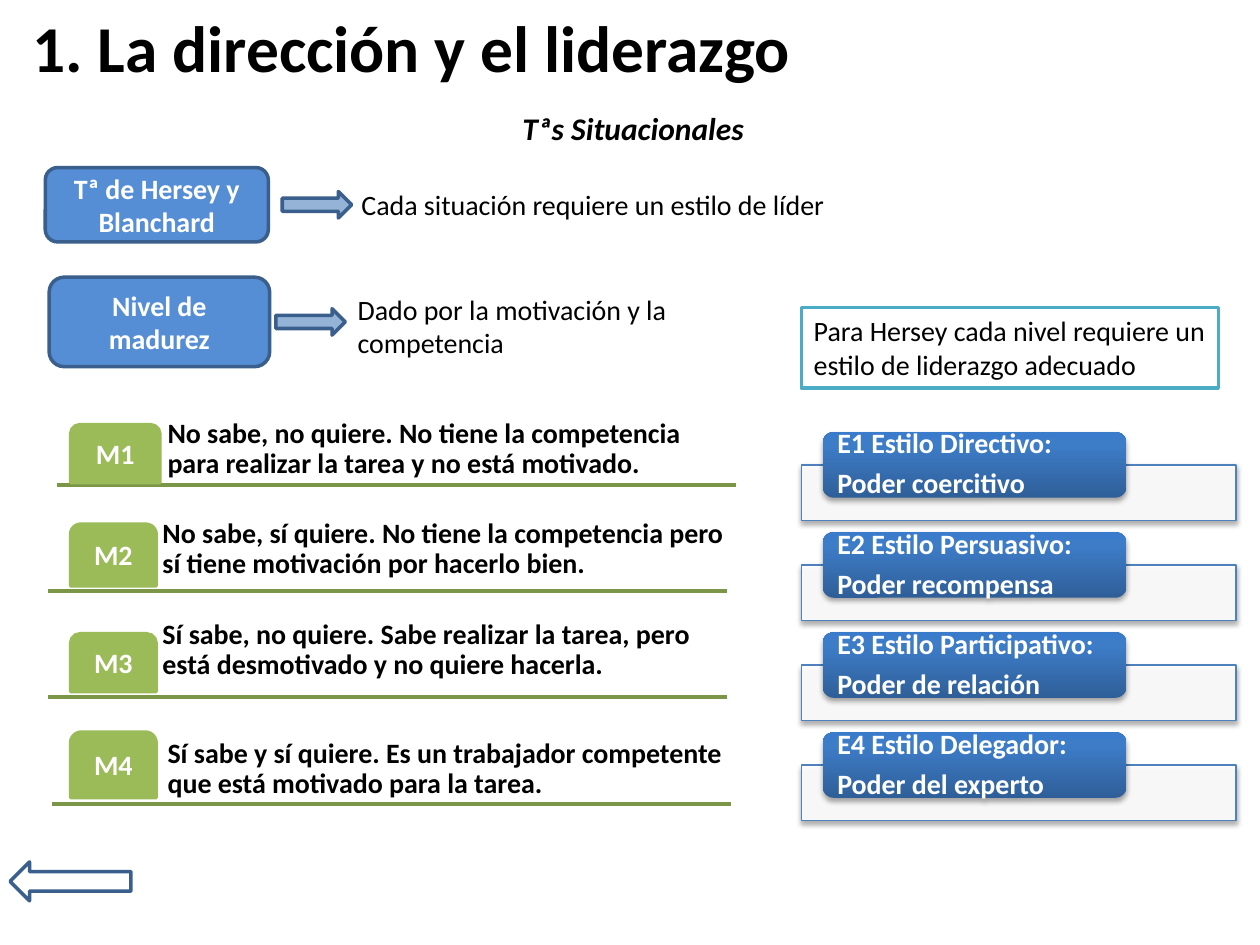
from copy import deepcopy

from lxml.etree import SubElement
from pptx import Presentation
from pptx.dml.color import RGBColor
from pptx.enum.shapes import MSO_CONNECTOR, MSO_SHAPE
from pptx.enum.text import MSO_ANCHOR, PP_ALIGN
from pptx.oxml.ns import qn
from pptx.util import Inches, Pt

BLACK = RGBColor(0x00, 0x00, 0x00)
WHITE = RGBColor(0xFF, 0xFF, 0xFF)
BLUE = RGBColor(0x55, 0x8E, 0xD5)
PALE_BLUE = RGBColor(0x95, 0xB3, 0xD7)
NAVY = RGBColor(0x3A, 0x5F, 0x8C)
GREEN = RGBColor(0x9B, 0xBB, 0x59)
DARK_GREEN = RGBColor(0x7C, 0x96, 0x47)
AQUA = RGBColor(0x4B, 0xAC, 0xC6)
BAR_BLUE = RGBColor(0x4F, 0x81, 0xBD)
STYLE_STOPS = [
    (0, RGBColor(0x2F, 0x5F, 0x99)),
    (0.8, RGBColor(0x3D, 0x7C, 0xC7)),
    (1, RGBColor(0x3A, 0x7C, 0xCB)),
]

COLS, ROWS = 100, 75
BODY = {"name": "Calibri", "size": Pt(16), "bold": False, "italic": False}
TIGHT = {"line_spacing": 0.9, "space_after": Pt(5.6)}
CENTER = {"alignment": PP_ALIGN.CENTER}
SMALL_INSET = (0.03, 0.03)

# label, tab (top, width, height), text (left, top, width), rule (left, top), text
LEVELS = [
    ("M1", (33.7, 7.1, 4.6), (13, 30.4, 44), (4.5, 38.5),
     "No sabe, no quiere. No tiene la competencia para realizar la tarea y no está motivado."),
    ("M2", (41.6, 6.8, 4.9), (12.6, 38.3, 46.7), (3.8, 46.9),
     "No sabe, sí quiere. No tiene la competencia pero sí tiene motivación por hacerlo bien."),
    ("M3", (50.3, 6.8, 4.6), (12.6, 46.3, 46.7), (3.8, 55.3),
     "Sí sabe, no quiere. Sabe realizar la tarea, pero está desmotivado y no quiere hacerla."),
    ("M4", (58.1, 6.8, 5.2), (13, 55.8, 45.5), (4.1, 63.8),
     "Sí sabe y sí quiere. Es un trabajador competente que está motivado para la tarea."),
]
STYLES = [
    ("E1 Estilo Directivo:", "Poder coercitivo"),
    ("E2 Estilo Persuasivo:", "Poder recompensa"),
    ("E3 Estilo Participativo:", "Poder de relación"),
    ("E4 Estilo Delegador:", "Poder del experto"),
]
STYLE_TOP, STYLE_PITCH = 34.3, 7.94


class Deck:
    """Holds the style and the current slide; lengths are grid columns and rows."""

    def __init__(self, prs):
        self.slide = prs.slides.add_slide(prs.slide_layouts[6])
        self.col = prs.slide_width / COLS
        self.row = prs.slide_height / ROWS

    def place(self, x, y, w, h):
        return [round(n) for n in (x * self.col, y * self.row, w * self.col, h * self.row)]

    def fill_text(self, sp, lines, color=BLACK, font=None, para=None,
                  anchor=MSO_ANCHOR.TOP, inset=(0.1, 0.05)):
        tf = sp.text_frame
        tf.word_wrap = True
        tf.vertical_anchor = anchor
        tf.margin_left = tf.margin_right = Inches(inset[0])
        tf.margin_top = tf.margin_bottom = Inches(inset[1])
        for i, line in enumerate(lines):
            p = tf.paragraphs[0] if i == 0 else tf.add_paragraph()
            for key, value in ({"alignment": PP_ALIGN.LEFT} | (para or {})).items():
                setattr(p, key, value)
            r = p.add_run()
            r.text = line
            for key, value in (BODY | (font or {})).items():
                setattr(r.font, key, value)
            r.font.color.rgb = color

    def text(self, box, line, **fmt):
        self.fill_text(self.slide.shapes.add_textbox(*self.place(*box)), [line], **fmt)

    def shape(self, kind, box, fill=None, line=None, width=2):
        sp = self.slide.shapes.add_shape(kind, *self.place(*box))
        sp.shadow.inherit = False
        if fill is None:
            sp.fill.background()
        else:
            sp.fill.solid()
            sp.fill.fore_color.rgb = fill
        if line is None:
            sp.line.fill.background()
        else:
            sp.line.color.rgb = line
            sp.line.width = Pt(width)
        return sp

    def rule(self, x, y, w, color):
        left, top, width, _ = self.place(x, y, w, 0)
        cxn = self.slide.shapes.add_connector(
            MSO_CONNECTOR.STRAIGHT, left, top, left + width, top)
        cxn.line.color.rgb = color
        cxn.line.width = Pt(2)
        SubElement(cxn._element.spPr, qn("a:effectLst"))

    def shade(self, sp):
        """Give the shape a soft shadow straight below it."""
        effects = sp._element.spPr.find(qn("a:effectLst"))
        shadow = SubElement(effects, qn("a:outerShdw"), blurRad=str(Pt(3.1)),
                            dist=str(Pt(1.8)), dir="5400000", rotWithShape="0")
        color = SubElement(shadow, qn("a:srgbClr"), val=str(BLACK))
        SubElement(color, qn("a:alpha"), val="35000")

    def blend(self, sp, stops):
        """Fill the shape with a vertical gradient, first stop at the bottom."""
        sp.fill.gradient()
        sp.fill.gradient_angle = 90
        gs_list = sp._element.spPr.find(".//" + qn("a:gsLst"))
        gs_list.append(deepcopy(gs_list[-1]))
        for stop, (position, color) in zip(sp.fill.gradient_stops, stops):
            stop.position = position
            stop.color.rgb = color

    def level(self, label, tab, text, rule, line):
        self.rule(*rule, 53.9, DARK_GREEN)
        self.text((*text, 8), line, font={"bold": True}, para=TIGHT,
                  anchor=MSO_ANCHOR.BOTTOM, inset=SMALL_INSET)
        top, width, height = tab
        sp = self.shape(MSO_SHAPE.ROUND_2_SAME_RECTANGLE, (5.6, top, width, height), GREEN, GREEN)
        self.fill_text(sp, [label], color=WHITE, font={"bold": True}, para=CENTER | TIGHT,
                       anchor=MSO_ANCHOR.MIDDLE, inset=SMALL_INSET)

    def leader_style(self, top, lines):
        bar = self.shape(MSO_SHAPE.RECTANGLE, (63.6, top + 2.6, 34.5, 4.4), WHITE, BAR_BLUE, 0.75)
        color = bar._element.spPr.find(qn("a:solidFill"))[0]
        SubElement(color, qn("a:alpha"), val="90000")
        self.shade(bar)
        tag = self.shape(MSO_SHAPE.ROUNDED_RECTANGLE, (65.3, top, 24.1, 5.2))
        self.blend(tag, STYLE_STOPS)
        self.shade(tag)
        self.fill_text(tag, lines, color=WHITE, font={"bold": True}, para=TIGHT,
                       anchor=MSO_ANCHOR.MIDDLE, inset=(0.09, 0))


def main():
    prs = Presentation()
    prs.slide_width, prs.slide_height = Inches(10), Inches(7.5)
    deck = Deck(prs)

    deck.text((1.6, 0.5, 90, 6.3), "1. La dirección y el liderazgo",
              font={"size": Pt(37.4), "bold": True}, anchor=MSO_ANCHOR.MIDDLE)
    deck.text((3.9, 8.2, 92.7, 4), "Tªs Situacionales", para=CENTER,
              font={"size": Pt(18), "bold": True, "italic": True})

    for box, arrow, note, concept, meaning in [
        ((3.6, 13.3, 17.7, 5.9), (22.4, 15.2), (27.7, 14.4, 40.5, 3.7),
         "Tª de Hersey y Blanchard", "Cada situación requiere un estilo de líder"),
        ((3.9, 22, 17.5, 7.1), (21.9, 24.5), (27.4, 22.7, 29.5, 6.4),
         "Nivel de madurez", "Dado por la motivación y la competencia"),
    ]:
        sp = deck.shape(MSO_SHAPE.ROUNDED_RECTANGLE, box, BLUE, NAVY)
        deck.fill_text(sp, [concept], color=WHITE, font={"bold": True}, para=CENTER,
                       anchor=MSO_ANCHOR.MIDDLE)
        deck.shape(MSO_SHAPE.RIGHT_ARROW, (*arrow, 5.5, 2.1), PALE_BLUE, NAVY)
        deck.text(note, meaning)

    for level in LEVELS:
        deck.level(*level)

    sp = deck.shape(MSO_SHAPE.RECTANGLE, (63.6, 24.4, 33.1, 6.4), WHITE, AQUA)
    deck.fill_text(sp, ["Para Hersey cada nivel requiere un estilo de liderazgo adecuado"])
    for i, lines in enumerate(STYLES):
        deck.leader_style(STYLE_TOP + i * STYLE_PITCH, lines)

    deck.shape(MSO_SHAPE.LEFT_ARROW, (0.8, 68.4, 9.6, 3.1), line=NAVY)
    prs.save("out.pptx")


if __name__ == "__main__":
    main()
